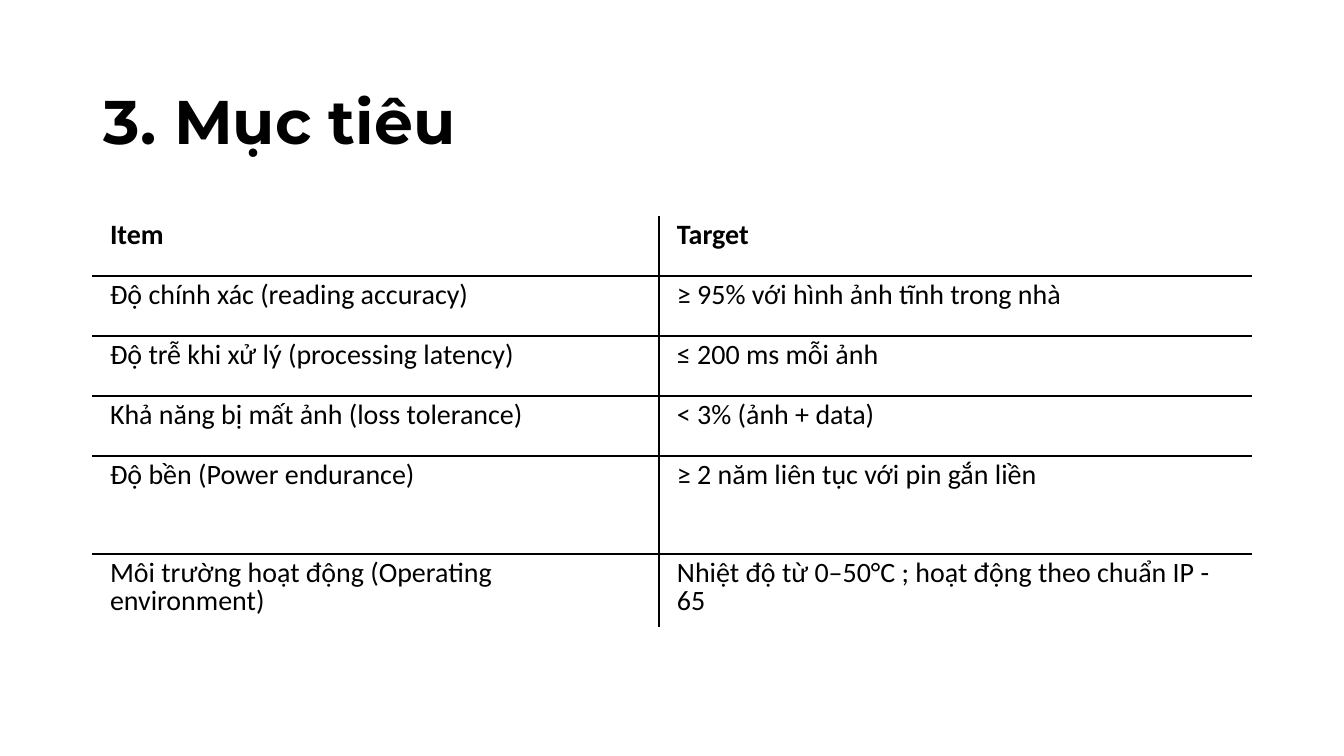
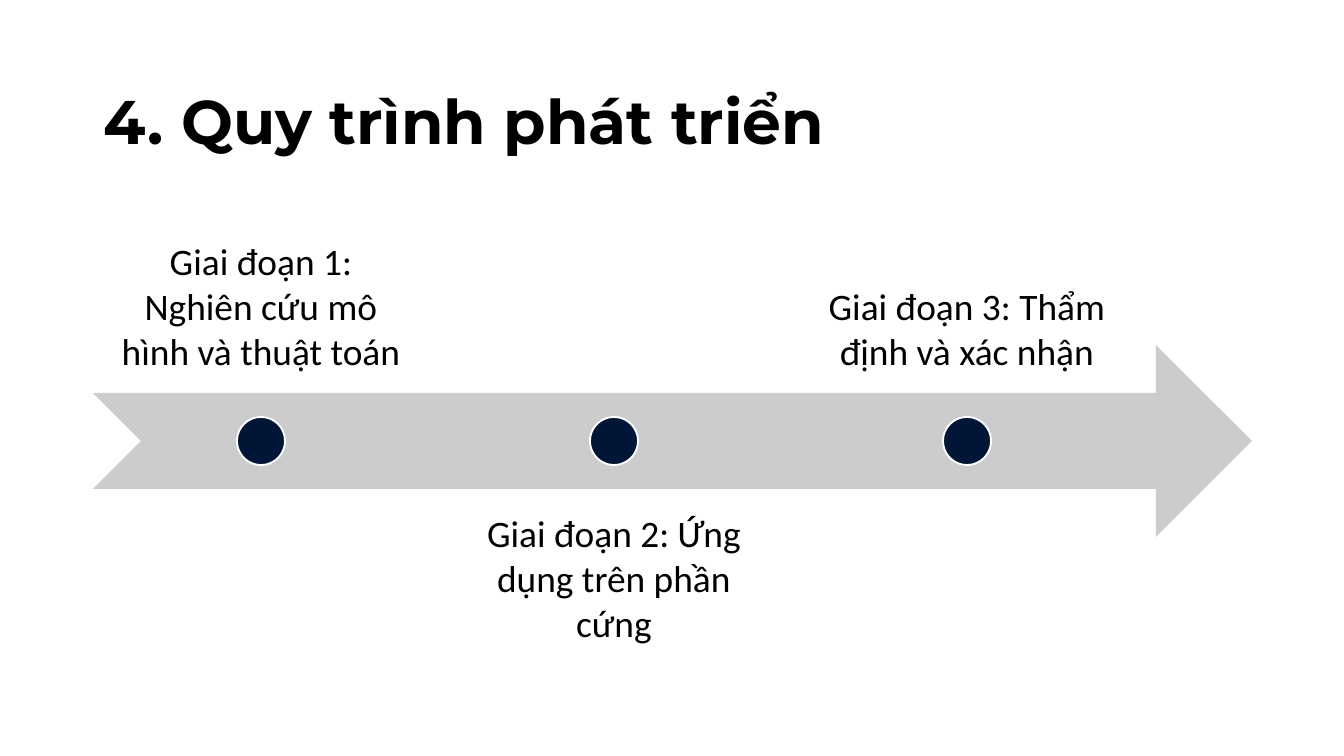
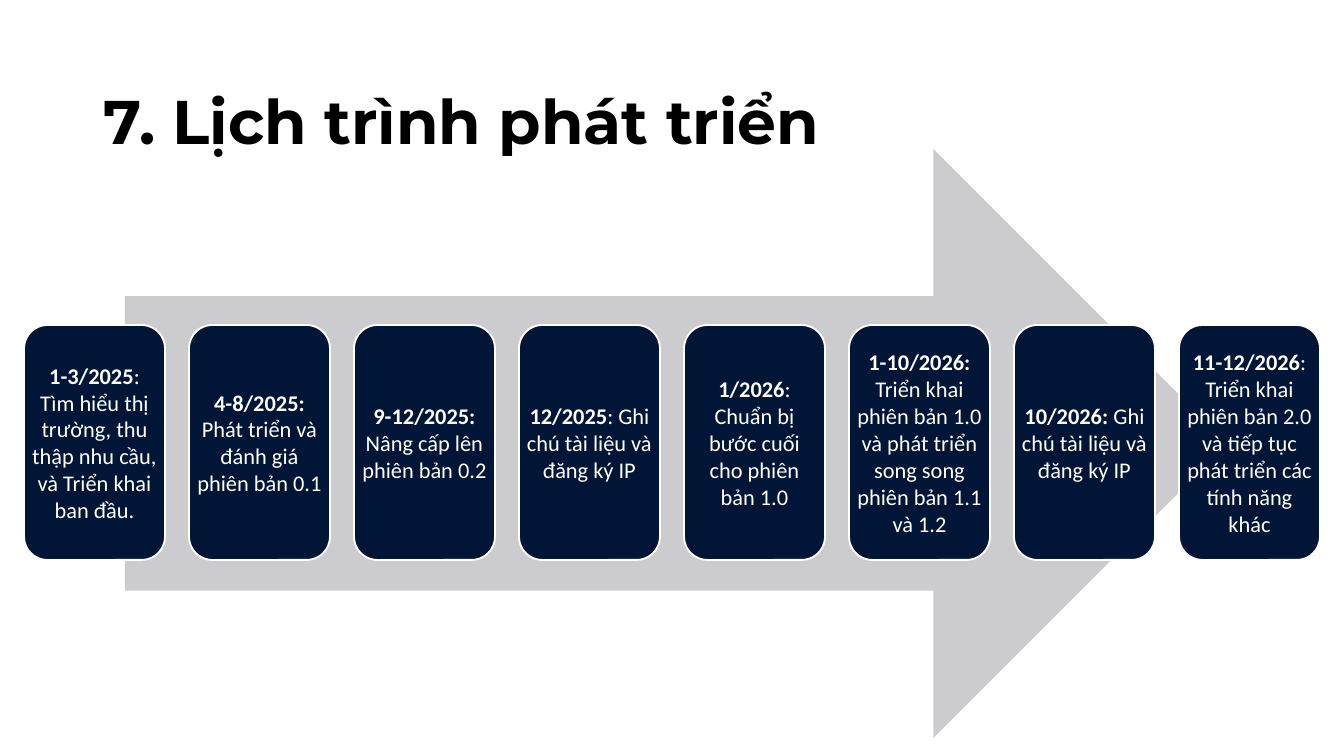
from lxml.etree import SubElement
from pptx import Presentation
from pptx.dml.color import RGBColor
from pptx.enum.shapes import MSO_SHAPE
from pptx.enum.text import MSO_ANCHOR, PP_ALIGN
from pptx.oxml.ns import qn
from pptx.util import Emu, Pt

BLACK = RGBColor(0x00, 0x00, 0x00)
WHITE = RGBColor(0xFF, 0xFF, 0xFF)
NAVY = RGBColor(0x01, 0x16, 0x36)
GRAY = RGBColor(0xCC, 0xCC, 0xCE)
TITLE_FONT = "Montserrat"
BODY_FONT = "Calibri"
EMU_PER_PX = 914400 / 134.4

TARGETS = [
    ("Item", "Target"),
    ("Độ chính xác (reading accuracy)", "≥ 95% với hình ảnh tĩnh trong nhà"),
    ("Độ trễ khi xử lý (processing latency)", "≤ 200 ms mỗi ảnh"),
    ("Khả năng bị mất ảnh (loss tolerance)", "< 3% (ảnh + data)"),
    ("Độ bền (Power endurance)", "≥ 2 năm liên tục với pin gắn liền"),
    ("Môi trường hoạt động (Operating environment)",
     "Nhiệt độ từ 0–50°C ; hoạt động theo chuẩn IP - 65"),
]
COLUMN_WIDTHS = [567, 593]
ROW_HEIGHTS = [60, 60, 60, 60, 98, 60]

PHASES = [
    "Giai đoạn 1: Nghiên cứu mô hình và thuật toán",
    "Giai đoạn 2: Ứng dụng trên phần cứng",
    "Giai đoạn 3: Thẩm định và xác nhận",
]

MILESTONES = [
    ("1-3/2025", ": Tìm hiểu thị trường, thu thập nhu cầu, và Triển khai ban đầu."),
    ("4-8/2025: ", "Phát triển và đánh giá phiên bản 0.1"),
    ("9-12/2025: ", "Nâng cấp lên phiên bản 0.2"),
    ("12/2025", ": Ghi chú tài liệu và đăng ký IP"),
    ("1/2026", ": Chuẩn bị bước cuối cho phiên bản 1.0"),
    ("1-10/2026: ", "Triển khai phiên bản 1.0 và phát triển song song phiên bản 1.1 và 1.2"),
    ("10/2026: ", "Ghi chú tài liệu và đăng ký IP"),
    ("11-12/2026", ": Triển khai phiên bản 2.0 và tiếp tục phát triển các tính năng khác"),
]


def px(length):
    return Emu(round(length * EMU_PER_PX))


def set_font(paragraph, size, color, name=BODY_FONT, bold=False):
    font = paragraph.font
    font.name = name
    font.size = Pt(size)
    font.bold = bold
    font.color.rgb = color


def set_margins(frame, horizontal, vertical):
    frame.margin_left = frame.margin_right = px(horizontal)
    frame.margin_top = frame.margin_bottom = px(vertical)


def add_text(slide, text, left, top, width, height, anchor, margins):
    box = slide.shapes.add_textbox(px(left), px(top), px(width), px(height))
    frame = box.text_frame
    frame.word_wrap = True
    frame.vertical_anchor = anchor
    set_margins(frame, *margins)
    paragraph = frame.paragraphs[0]
    paragraph.text = text
    return paragraph


def add_filled_shape(slide, kind, left, top, width, height, fill, line=None):
    shape = slide.shapes.add_shape(kind, px(left), px(top), px(width), px(height))
    shape.shadow.inherit = False
    shape.fill.solid()
    shape.fill.fore_color.rgb = fill
    if line is None:
        shape.line.fill.background()
    else:
        shape.line.color.rgb = line
        shape.line.width = Pt(1)
    return shape


def add_titled_slide(presentation, title):
    slide = presentation.slides.add_slide(presentation.slide_layouts[6])
    paragraph = add_text(slide, title, 93, 83, 1159, 102, MSO_ANCHOR.TOP, (11, 8))
    paragraph.line_spacing = 0.9
    set_font(paragraph, 33, BLACK, TITLE_FONT, bold=True)
    return slide


def set_borders(cell, visible_sides):
    properties = cell._tc.get_or_add_tcPr()
    for side in "LRTB":
        border = SubElement(properties, qn(f"a:ln{side}"), w=str(Pt(1)))
        if side in visible_sides:
            fill = SubElement(border, qn("a:solidFill"))
            SubElement(fill, qn("a:srgbClr"), val=str(BLACK))
        else:
            SubElement(border, qn("a:noFill"))


def inner_sides(row, column, row_count):
    sides = "R" if column == 0 else "L"
    if row > 0:
        sides += "T"
    if row < row_count - 1:
        sides += "B"
    return sides


def add_target_table(slide, left, top):
    table = slide.shapes.add_table(
        len(TARGETS), len(COLUMN_WIDTHS), px(left), px(top),
        px(sum(COLUMN_WIDTHS)), px(sum(ROW_HEIGHTS))).table
    table.first_row = table.horz_banding = False
    for column, width in zip(table.columns, COLUMN_WIDTHS):
        column.width = px(width)
    for row, height in zip(table.rows, ROW_HEIGHTS):
        row.height = px(height)
    for row_index, texts in enumerate(TARGETS):
        for column_index, text in enumerate(texts):
            cell = table.cell(row_index, column_index)
            set_borders(cell, inner_sides(row_index, column_index, len(TARGETS)))
            cell.fill.background()
            set_margins(cell, 18, 9)
            paragraph = cell.text_frame.paragraphs[0]
            paragraph.text = text
            paragraph.line_spacing = Pt(14.7)
            paragraph.space_after = Pt(10)
            set_font(paragraph, 15, BLACK, bold=row_index == 0)


def add_phase(slide, index, text):
    left = 93 + 353 * index
    above = index % 2 == 0
    top, anchor = (202, MSO_ANCHOR.BOTTOM) if above else (489, MSO_ANCHOR.TOP)
    paragraph = add_text(slide, text, left, top, 336, 192, anchor, (21, 21))
    paragraph.alignment = PP_ALIGN.CENTER
    set_font(paragraph, 20, BLACK)
    add_filled_shape(slide, MSO_SHAPE.OVAL, left + 144, 417, 48, 48, NAVY, WHITE)


def add_milestone(slide, index, period, task):
    card = add_filled_shape(slide, MSO_SHAPE.ROUNDED_RECTANGLE,
                            24 + 165 * index, 325, 141, 235, NAVY, WHITE)
    frame = card.text_frame
    frame.word_wrap = True
    frame.vertical_anchor = MSO_ANCHOR.MIDDLE
    set_margins(frame, 0, 0)
    paragraph = frame.paragraphs[0]
    paragraph.alignment = PP_ALIGN.CENTER
    set_font(paragraph, 12, WHITE)
    for text, bold in ((period, True), (task, False)):
        run = paragraph.add_run()
        run.text = text
        run.font.bold = bold


def main():
    presentation = Presentation()
    presentation.slide_width = px(1344)
    presentation.slide_height = px(756)

    targets = add_titled_slide(presentation, "3. Mục tiêu")
    add_target_table(targets, 92, 216)

    process = add_titled_slide(presentation, "4. Quy trình phát triển")
    add_filled_shape(process, MSO_SHAPE.NOTCHED_RIGHT_ARROW, 93, 345, 1159, 192, GRAY)
    for index, text in enumerate(PHASES):
        add_phase(process, index, text)

    schedule = add_titled_slide(presentation, "7. Lịch trình phát triển")
    add_filled_shape(schedule, MSO_SHAPE.RIGHT_ARROW, 125, 149, 1103, 589, GRAY)
    for index, (period, task) in enumerate(MILESTONES):
        add_milestone(schedule, index, period, task)

    presentation.save("out.pptx")


if __name__ == "__main__":
    main()
